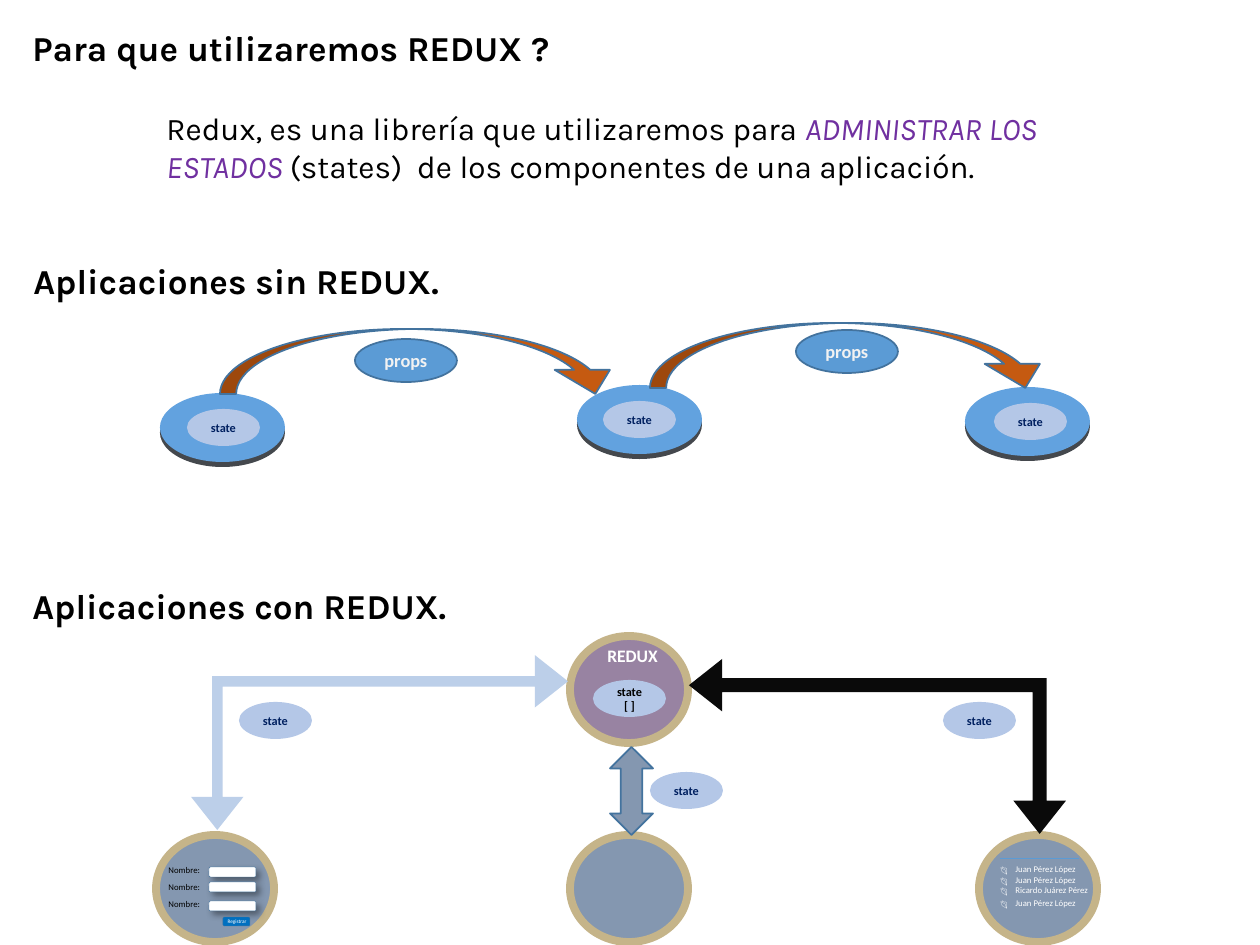
from lxml import etree
from pptx import Presentation
from pptx.dml.color import RGBColor
from pptx.enum.shapes import MSO_CONNECTOR, MSO_SHAPE
from pptx.enum.text import MSO_ANCHOR, MSO_AUTO_SIZE, PP_ALIGN
from pptx.oxml.ns import qn
from pptx.util import Pt

PX = 7257.14  # EMU in one px, at 126 px to the inch
BLUE, OUTLINE, PALE, SLATE = "5B9BD5", "43739E", "B4C7E7", "8497B0"
NAVY, GOLD, WHITE, BLACK = "002060", "C5B489", "FFFFFF", "000000"


def emu(*lengths):
    return [round(length * PX) for length in lengths]


def rgb(code):
    return RGBColor.from_string(code)


class Board:
    """Draws the elements of one slide in a shared style."""

    def __init__(self, slide):
        self.slide = slide
        self.shapes = slide.shapes

    def font(self, target, size, color, name="Calibri", bold=False, italic=False):
        target.name, target.size = name, Pt(size)
        target.bold, target.italic = bold, italic
        target.color.rgb = rgb(color)

    def text(self, box, words, size, color=BLACK, name="Calibri", bold=False,
             wrap=False, align=PP_ALIGN.LEFT):
        frame = self.shapes.add_textbox(*emu(*box)).text_frame
        frame.word_wrap = wrap
        frame.auto_size = MSO_AUTO_SIZE.SHAPE_TO_FIT_TEXT
        paragraph = frame.paragraphs[0]
        paragraph.text, paragraph.alignment = words, align
        self.font(paragraph.font, size, color, name, bold)
        return paragraph

    def heading(self, box, words):
        self.text(box, words, 20, name="Karla", bold=True)

    def shape(self, kind, box, fill, line=None, width=1, adjust=()):
        shape = self.shapes.add_shape(kind, *emu(*box))
        shape.shadow.inherit = False
        shape.fill.solid()
        shape.fill.fore_color.rgb = rgb(fill)
        if line:
            shape.line.color.rgb = rgb(line)
            shape.line.width = Pt(width)
        else:
            shape.line.fill.background()
        for index, value in enumerate(adjust):
            shape.adjustments[index] = value
        return shape

    def ellipse(self, box, fill, line=None, width=1):
        return self.shape(MSO_SHAPE.OVAL, box, fill, line, width)

    def bubble(self, box, words, size, color, fill=PALE, line=None):
        frame = self.ellipse(box, fill, line).text_frame
        frame.word_wrap = True
        frame.vertical_anchor = MSO_ANCHOR.MIDDLE
        frame.margin_left, frame.margin_right = emu(12, 12)
        frame.margin_top = frame.margin_bottom = 0
        paragraph = frame.paragraphs[0]
        paragraph.text, paragraph.alignment = words, PP_ALIGN.CENTER
        self.font(paragraph.font, size, color, bold=True)

    def state(self, left, top, words="state", color=NAVY):
        self.bubble((left, top, 73, 37), words, 7, color)

    def disk(self, left, top):
        self.ellipse((left, top + 5, 125, 69), "44484D")
        self.ellipse((left, top, 125, 69), "62A2DF")

    def node(self, left, top, fill=SLATE):
        self.ellipse((left, top, 118, 107), fill, GOLD, 4.5)

    def input_field(self, left, top):
        field = self.shape(MSO_SHAPE.ROUNDED_RECTANGLE, (left, top, 47, 10),
                           WHITE, OUTLINE, 0.25)
        effects = field.element.spPr.find(qn("a:effectLst"))
        shadow = etree.SubElement(effects, qn("a:outerShdw"), blurRad=str(Pt(4)),
                                  dist=str(Pt(3)), dir="2700000", algn="tl")
        color = etree.SubElement(shadow, qn("a:srgbClr"), val=BLACK)
        etree.SubElement(color, qn("a:alpha"), val="40000")

    def rule(self, left, right, y):
        line = self.shapes.add_connector(MSO_CONNECTOR.STRAIGHT,
                                         *emu(left, y, right, y))
        line.line.color.rgb = rgb(BLUE)
        line.line.width = Pt(0.5)
        etree.SubElement(line.element.spPr, qn("a:effectLst"))


def draw_intro(board):
    board.heading((20, 20, 577, 55), "Para que utilizaremos REDUX ?")
    intro = board.text((154, 103, 954, 89), "", 18, name="Karla", wrap=True)
    for words, color, italic in (
            ("Redux, es una librería que utilizaremos para ", BLACK, False),
            ("ADMINISTRAR LOS ESTADOS ", "7030A0", True),
            ("(states)  de los componentes de una aplicación.", BLACK, False)):
        run = intro.add_run()
        run.text = words
        board.font(run.font, 18, color, "Karla", italic=italic)


def draw_without_redux(board):
    board.heading((21, 253, 454, 55), "Aplicaciones sin REDUX.")
    # Components, each with its own state
    for left, top in ((160, 393), (577, 385), (965, 387)):
        board.disk(left, top)
    for left, top in ((187, 409), (603, 401), (994, 403)):
        board.state(left, top)
    # Props handed from one component to the next
    for left, top in ((220, 329), (650, 323)):
        board.shape(MSO_SHAPE.CURVED_DOWN_ARROW, (left, top, 403, 65), "C55A11",
                    OUTLINE, adjust=(0.25, 0.85, 0.37))
    for left, top in ((355, 339), (796, 330)):
        board.bubble((left, top, 102, 43), "props", 10.5, "F2F2F2", BLUE, OUTLINE)


def draw_with_redux(board):
    board.heading((20, 578, 465, 55), "Aplicaciones con REDUX.")
    # Store
    board.node(570, 636, "9883A2")
    board.state(593, 680, "state [ ]", BLACK)
    board.text((595, 639, 77, 34), "REDUX", 10, WHITE, bold=True)
    # Components
    for left in (156, 570, 979):
        board.node(left, 835)
    # Two-way arrows between the store and the components
    right_arrow = board.shape(MSO_SHAPE.LEFT_UP_ARROW, (689, 659, 377, 175),
                              "0A0A0A", adjust=(0.08, 0.15, 0.19))
    right_arrow.element.spPr.find(qn("a:xfrm")).set("flipV", "1")
    left_arrow = board.shape(MSO_SHAPE.LEFT_UP_ARROW, (191, 655, 377, 175),
                             "BCCFE9", adjust=(0.06, 0.15, 0.19))
    left_arrow.rotation = 180
    board.shape(MSO_SHAPE.UP_DOWN_ARROW, (610, 747, 43, 88), SLATE, OUTLINE,
                adjust=(0.24, 0.5))
    for left, top in ((239, 702), (943, 702), (650, 772)):
        board.state(left, top)


def draw_form(board):
    for label_top, field_top in ((859, 867), (876, 882), (893, 901)):
        board.text((156, label_top, 59, 24), "Nombre:", 5)
        board.input_field(209, field_top)
    board.shape(MSO_SHAPE.ROUNDED_RECTANGLE, (223, 917, 27, 9), "0070C0",
                OUTLINE, 0.25)
    board.text((215, 912, 44, 19), "Registrar", 3, WHITE, align=PP_ALIGN.CENTER)


def draw_list(board):
    board.rule(1000, 1079, 858)
    person = "Juan Pérez López"
    for top, name, width in ((858, person, 87), (869, person, 87),
                             (879, "Ricardo Juárez Pérez", 103),
                             (892, person, 87)):
        board.text((1003, top, width, 24), name, 5, WHITE)
        board.text((988, top + 1, 38, 24), "📂", 5, WHITE, "Arial")


def main():
    deck = Presentation()
    deck.slide_width, deck.slide_height = emu(1260, 945)
    board = Board(deck.slides.add_slide(deck.slide_layouts[6]))
    for draw in (draw_intro, draw_without_redux, draw_with_redux, draw_form,
                 draw_list):
        draw(board)
    deck.save("out.pptx")


if __name__ == "__main__":
    main()
